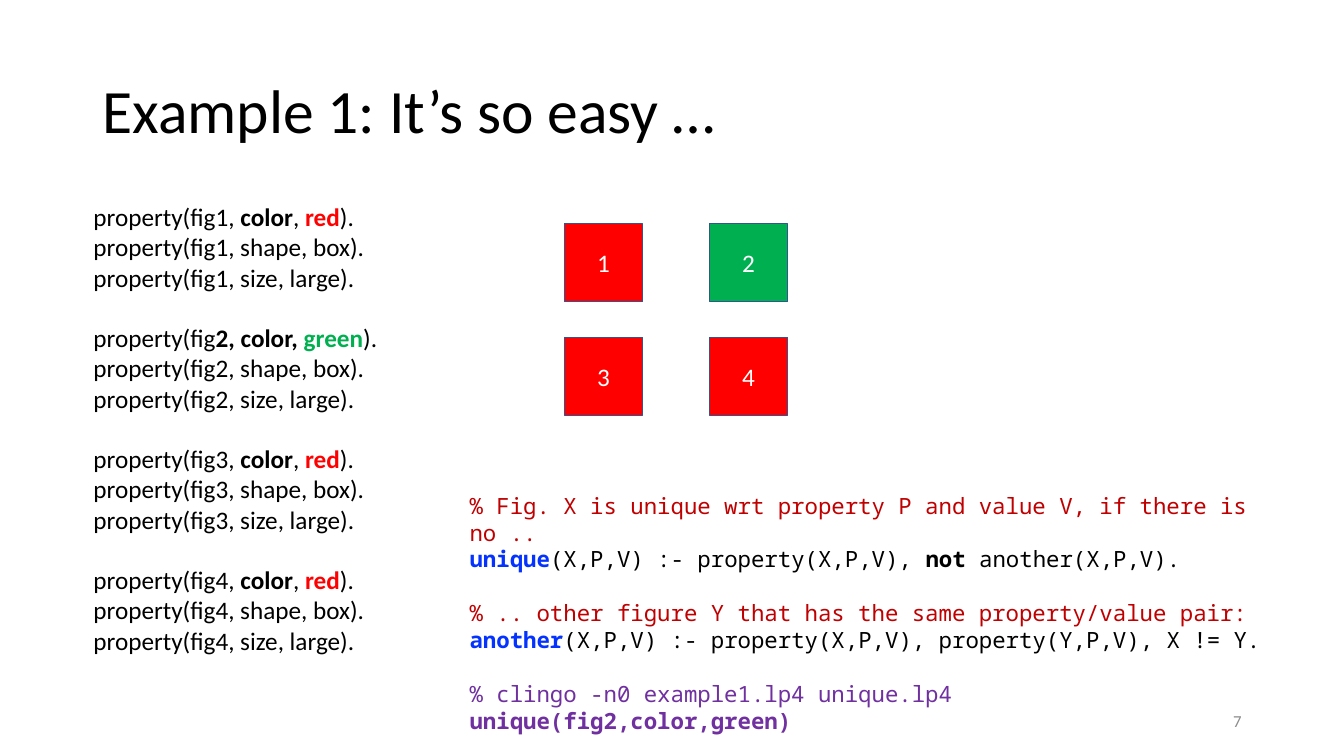
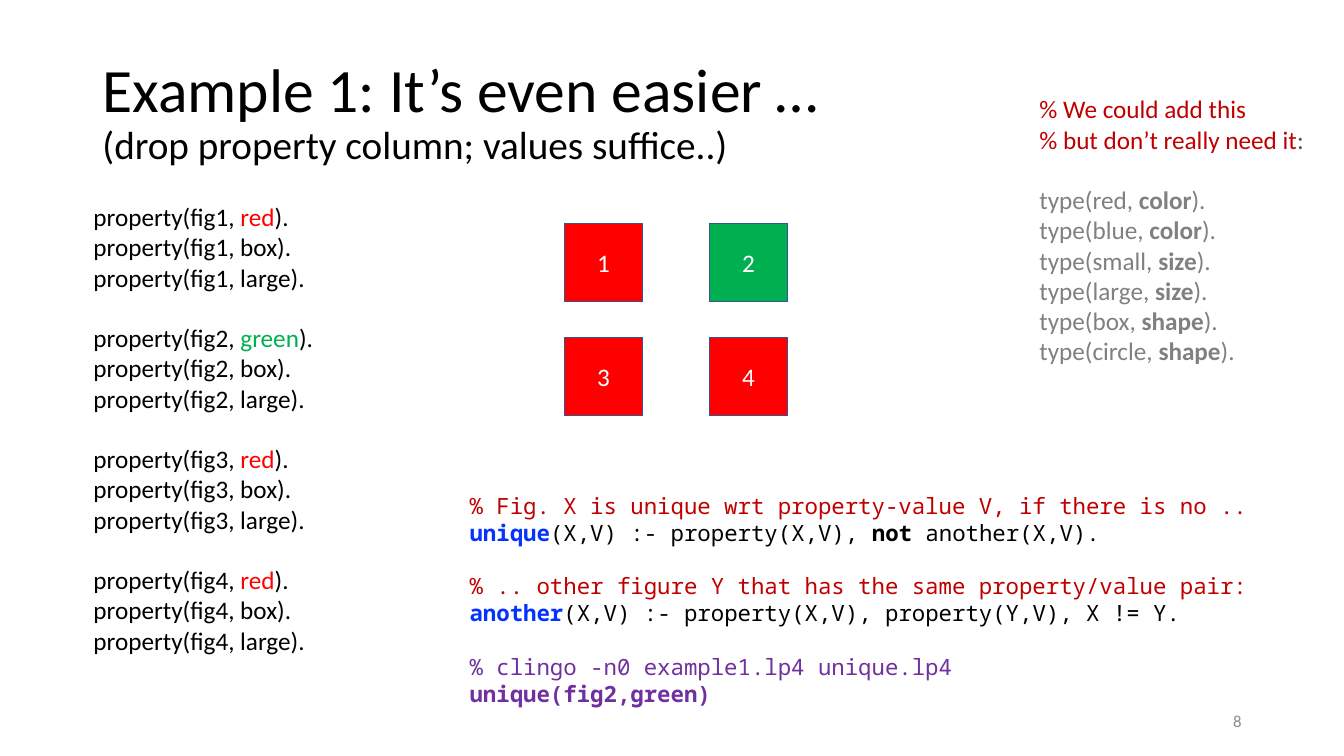
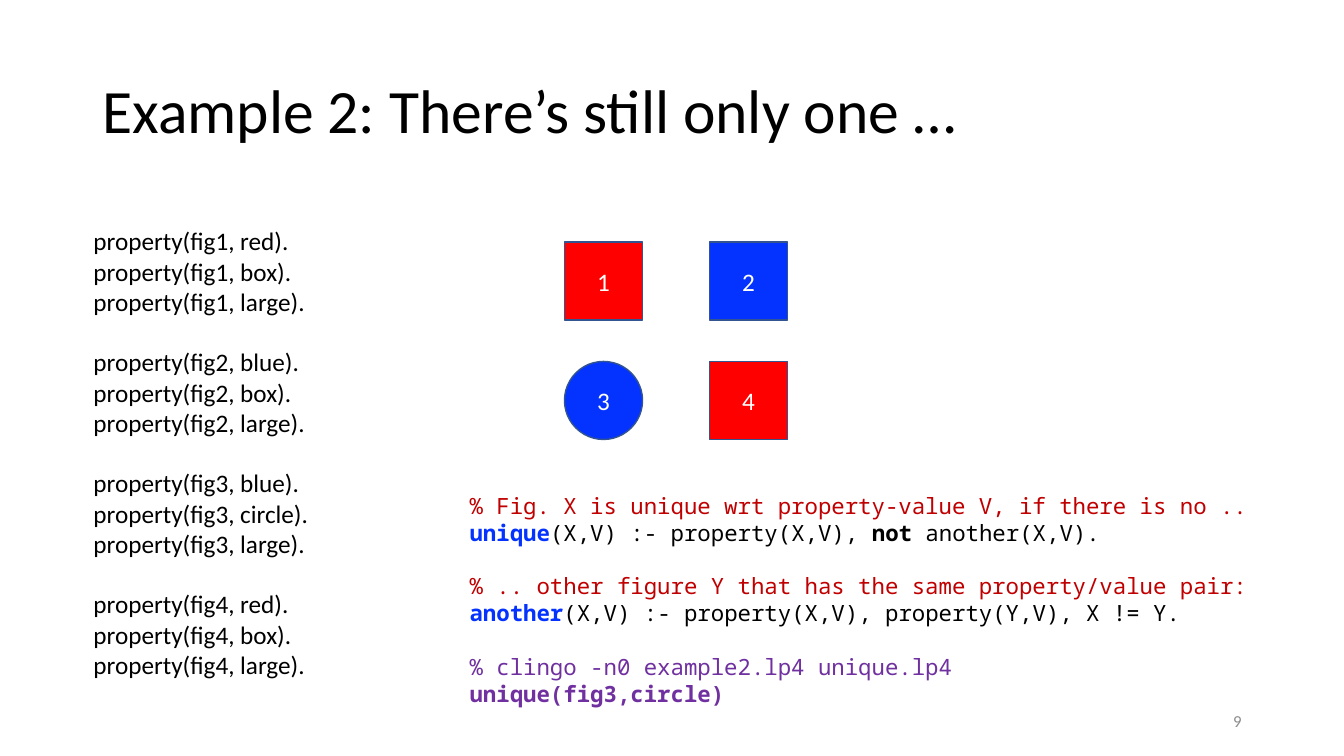
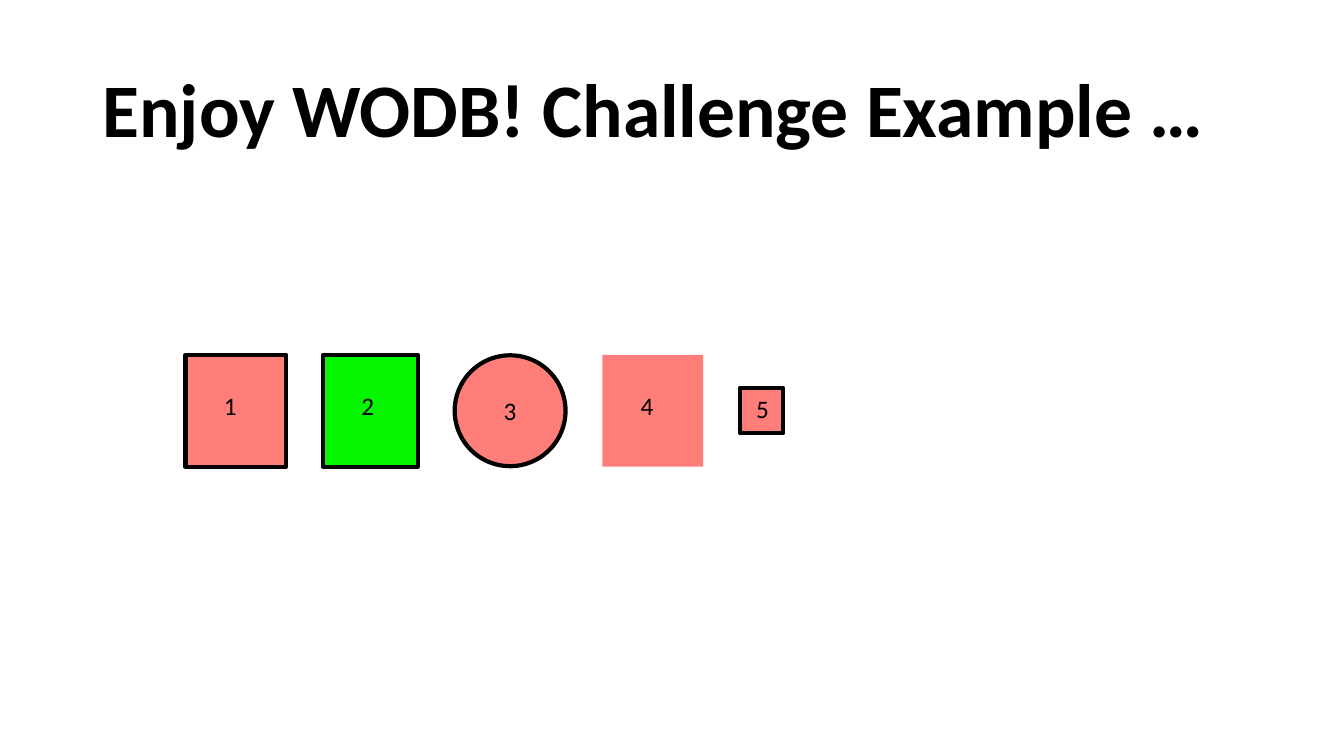
from pptx import Presentation
from pptx.dml.color import RGBColor
from pptx.enum.shapes import MSO_SHAPE
from pptx.enum.text import MSO_ANCHOR, PP_ALIGN
from pptx.util import Inches, Pt

RECT, OVAL = MSO_SHAPE.RECTANGLE, MSO_SHAPE.OVAL
TOP, MIDDLE = MSO_ANCHOR.TOP, MSO_ANCHOR.MIDDLE
LEFT, CENTER, RIGHT = PP_ALIGN.LEFT, PP_ALIGN.CENTER, PP_ALIGN.RIGHT

COLORS = {
    "black": "000000", "white": "FFFFFF", "red": "FF0000", "green": "00B050",
    "blue": "0432FF", "outline": "325491", "comment": "C00000",
    "query": "7030A0", "note": "808080", "slate": "44546A", "number": "8C8C8C",
    "salmon": "FF7E79", "lime": "06F500",
}
SANS, MONO = "Calibri", "Noto Sans Mono"

prs = Presentation()
prs.slide_width, prs.slide_height = Inches(13.33), Inches(7.5)
COL, ROW = prs.slide_width / 100, prs.slide_height / 100

TITLE_BOX = (6.88, 5.33, 86.25, 19.33)
NUMBER_BOX = (70.63, 92.67, 22.5, 5.33)
CODE_BOX = (34.2, 64.4, 64.2, 33.6)
NOTE_BOX = (76.6, 11.73, 22.5, 37.73)
FACTS_WIDTH, FACTS_HEIGHT = 24, 62
TOKEN_SHARE = 0.35
ROW_BOX = (13.8, 46.93, 44.48, 14.8)


def rgb(name):
    return RGBColor.from_string(COLORS[name])


def grid(box):
    x, y, w, h = box
    return [round(v) for v in (x * COL, y * ROW, w * COL, h * ROW)]


def add_run(p, text, color="black", bold=False, size=18, font=SANS):
    r = p.add_run()
    r.text = text
    r.font.name, r.font.size, r.font.bold = font, Pt(size), bold
    r.font.color.rgb = rgb(color)


def text_frame(slide, box, anchor=TOP):
    tf = slide.shapes.add_textbox(*grid(box)).text_frame
    tf.word_wrap = True
    tf.vertical_anchor = anchor
    return tf


def add_blocks(slide, box, blocks, size, gap, font=SANS):
    tf = text_frame(slide, box)
    lines = [(i > 0 and j == 0, runs)
             for i, block in enumerate(blocks) for j, runs in enumerate(block)]
    for i, (spaced, runs) in enumerate(lines):
        p = tf.add_paragraph() if i else tf.paragraphs[0]
        if spaced:
            p.space_before = Pt(gap)
        for run in runs:
            add_run(p, *run, size=size, font=font)


def add_title(slide, title, subtitle=None, size=44, bold=False):
    p = text_frame(slide, TITLE_BOX, MIDDLE).paragraphs[0]
    p.line_spacing = 0.9
    add_run(p, title, bold=bold, size=size)
    if subtitle:
        p.add_line_break()
        add_run(p, subtitle, size=28)


def add_number(slide, number):
    p = text_frame(slide, NUMBER_BOX, MIDDLE).paragraphs[0]
    p.alignment = RIGHT
    add_run(p, str(number), "number", size=12)


def add_token(slide, box, label, kind, fill, line, weight, color, inset=None):
    sp = slide.shapes.add_shape(kind, *grid(box))
    sp.shadow.inherit = False
    sp.fill.solid()
    sp.fill.fore_color.rgb = rgb(fill)
    if line:
        sp.line.color.rgb = rgb(line)
        sp.line.width = Pt(weight)
    else:
        sp.line.fill.background()
    tf = sp.text_frame
    tf.word_wrap = True
    p = tf.paragraphs[0]
    if inset:
        tf.margin_left, tf.margin_top = round(inset[0] * COL), round(inset[1] * ROW)
        tf.margin_right = 0
        tf.vertical_anchor, p.alignment = TOP, LEFT
    else:
        tf.vertical_anchor, p.alignment = MIDDLE, CENTER
    add_run(p, label, color)


def add_board(slide, box, tokens):
    x, y, w, h = box
    side_w = w * TOKEN_SHARE
    side_h = side_w * COL / ROW
    for i, (kind, fill) in enumerate(tokens):
        row, col = divmod(i, 2)
        cell = (x + col * (w - side_w), y + row * (h - side_h), side_w, side_h)
        add_token(slide, cell, str(i + 1), kind, fill, "outline", 1, "white")


def add_row(slide, box, tokens):
    x, y, w, h = box
    gap = (w - sum(t[3] for t in tokens)) / (len(tokens) - 1)
    for i, (kind, fill, line, tw, th, inset) in enumerate(tokens):
        add_token(slide, (x, y + (h - th) / 2, tw, th), str(i + 1), kind,
                  fill, line, 3, "black", inset)
        x += tw + gap


def fact(n, *values):
    return [(f"property(fig{n}, {', '.join(values)}).",)]


def tinted_head(n, color):
    return [(f"property(fig{n}, ",), (color, color), (").",)]


def keyed_head(n, color):
    if n == 2:
        key = [("property(fig",), ("2, color, ", "black", True)]
    else:
        key = [(f"property(fig{n}, ",), ("color", "black", True), (", ",)]
    return key + [(color, color, True), (").",)]


def fact_blocks(head, colors, details):
    return [[head(n, color)] + [fact(n, *d) for d in detail]
            for n, (color, detail) in enumerate(zip(colors, details), 1)]


def rule_blocks(intro, args, source, answer):
    pair = args.replace("X", "Y")
    return [
        [[(f"% Fig. X is unique wrt {intro} V, if there is no ..", "comment")],
         [("unique", "blue", True), (f"({args}) :- property({args}), ",),
          ("not", "black", True), (f" another({args}).",)]],
        [[("% .. other figure Y that has the same property/value pair:", "comment")],
         [("another", "blue", True),
          (f"({args}) :- property({args}), property({pair}), X != Y.",)]],
        [[(f"% clingo -n0 {source} unique.lp4", "query")],
         [(f"unique({answer})", "query", True)]],
    ]


def add_note(slide):
    types = [("red", "color"), ("blue", "color"), ("small", "size"),
             ("large", "size"), ("box", "shape"), ("circle", "shape")]
    blocks = [
        [[("% We could add this", "comment")],
         [("% but don’t really need it", "comment"), (":", "slate")]],
        [[(f"type({value}, ", "note"), (kind, "note", True), (").", "note")]
         for value, kind in types],
    ]
    add_blocks(slide, NOTE_BOX, blocks, 18, 21.6)


def example_slide(number, title, facts, facts_top, board, tokens, rules, subtitle=None):
    slide = prs.slides.add_slide(prs.slide_layouts[6])
    add_blocks(slide, (6.22, facts_top, FACTS_WIDTH, FACTS_HEIGHT), facts, 18, 21.6)
    add_board(slide, board, tokens)
    add_blocks(slide, CODE_BOX, rule_blocks(*rules), 16, 19.2, MONO)
    add_title(slide, title, subtitle)
    add_number(slide, number)
    return slide


def challenge_slide(title, tokens):
    slide = prs.slides.add_slide(prs.slide_layouts[6])
    add_title(slide, title, size=54, bold=True)
    add_row(slide, ROW_BOX, tokens)


def main():
    colors = ["red", "green", "red", "red"]
    boxes = [(RECT, color) for color in colors]
    board = (42, 29.6, 16.6, 25.33)
    plain = [("box",), ("large",)]

    example_slide(
        7, "Example 1: It’s so easy …",
        fact_blocks(keyed_head, colors, [[("shape", "box"), ("size", "large")]] * 4),
        26, board, boxes,
        ("property P and value", "X,P,V", "example1.lp4", "fig2,color,green"))

    slide = example_slide(
        8, "Example 1: It’s even easier …",
        fact_blocks(tinted_head, colors, [plain] * 4), 26, board, boxes,
        ("property-value", "X,V", "example1.lp4", "fig2,green"),
        "(drop property column; values suffice..)")
    add_note(slide)

    mixed = ["red", "blue", "blue", "red"]
    kinds = [RECT, RECT, OVAL, RECT]
    example_slide(
        9, "Example 2: There’s still only one …",
        fact_blocks(fact, mixed, [plain, plain, [("circle",), ("large",)], plain]),
        29.2, (42, 32, 16.6, 26.13), list(zip(kinds, mixed)),
        ("property-value", "X,V", "example2.lp4", "fig3,circle"))

    indent = (2.85, 4.67)
    challenge_slide("Enjoy WODB! Challenge Example …", [
        (RECT, "salmon", "black", 7.5, 14.8, indent),
        (RECT, "lime", "black", 7.05, 14.8, indent),
        (OVAL, "salmon", "black", 8.25, 14.67, None),
        (RECT, "salmon", None, 7.5, 14.8, indent),
        (RECT, "salmon", "black", 3.22, 6, (1.2, 0.67)),
    ])
    prs.save("out.pptx")


if __name__ == "__main__":
    main()
